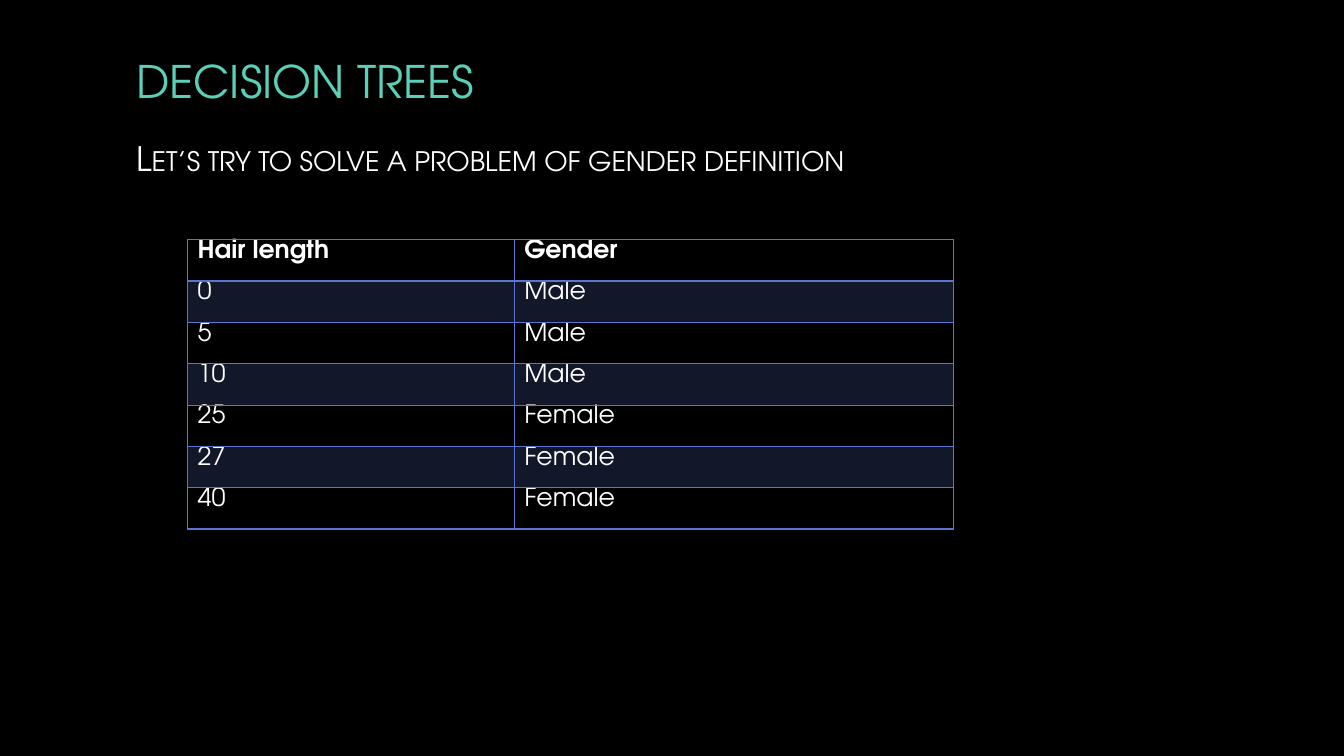
from pptx import Presentation
from pptx.dml.color import RGBColor as Color
from pptx.enum.text import MSO_ANCHOR as Anchor, MSO_AUTO_SIZE as Fit, PP_ALIGN as Align
from pptx.oxml import parse_xml as to_xml
from pptx.oxml.ns import nsdecls as names, qn
from pptx.util import Inches, Pt

FONT = "TeX Gyre Adventor"
BLACK = Color(0x00, 0x00, 0x00)
WHITE = Color(0xFF, 0xFF, 0xFF)
TEAL = Color(0x5A, 0xD0, 0xB8)
BLUE = Color(0x5A, 0x74, 0xD1)

ROWS = [
    ("Hair length", "Gender"),
    ("0", "Male"),
    ("5", "Male"),
    ("10", "Male"),
    ("25", "Female"),
    ("27", "Female"),
    ("40", "Female"),
]
WIDTHS = (3.24, 4.36)
HEIGHT = 0.41


def style(para, size, color, bold=False):
    """Format every run of a paragraph."""
    for run in para.runs:
        font = run.font
        font.name, font.size, font.bold = FONT, Pt(size), bold
        font.color.rgb = color


def fill_holder(holder, text, top, height, size, color, anchor):
    """Place a placeholder and write one line in it."""
    holder.left, holder.top = Inches(1.25), Inches(top)
    holder.width, holder.height = Inches(10.83), Inches(height)
    frame = holder.text_frame
    frame.text = text
    frame.word_wrap = True
    frame.auto_size = Fit.NONE
    frame.vertical_anchor = anchor
    para = frame.paragraphs[0]
    para.alignment = Align.LEFT
    style(para, size, color)
    return para


def plain_caps(para):
    """Drop the bullet and turn the text to small capitals."""
    props = para._p.get_or_add_pPr()
    props.set("marL", "0")
    props.set("indent", "0")
    para.space_after = Pt(6)
    props.append(to_xml(f"<a:buNone {names('a')}/>"))
    for run in para.runs:
        run.font._element.set("cap", "small")


def add_edges(cell, top, bottom):
    """Draw the four borders of a cell, widths in points."""
    props = cell._tc.get_or_add_tcPr()
    for side, width in (("L", 1), ("R", 1), ("T", top), ("B", bottom)):
        props.append(to_xml(
            f'<a:ln{side} {names("a")} w="{Pt(width)}"><a:solidFill>'
            f'<a:srgbClr val="{BLUE}"/></a:solidFill></a:ln{side}>'))


def tint(cell):
    """Fill a cell with blue at 20 percent opacity."""
    cell.fill.solid()
    cell.fill.fore_color.rgb = BLUE
    shade = cell._tc.tcPr.find(qn("a:solidFill")).find(qn("a:srgbClr"))
    shade.append(to_xml(f'<a:alpha {names("a")} val="20000"/>'))


def fill_cell(cell, text, row):
    """Write and format one table cell."""
    cell.text_frame.text = text
    cell.margin_top = cell.margin_bottom = 0
    style(cell.text_frame.paragraphs[0], 18, WHITE, row == 0)
    add_edges(cell, 2 if row == 1 else 1, 2 if row == 0 else 1)
    if row % 2:
        tint(cell)
    else:
        cell.fill.background()


def add_grid(slide):
    """Add the table of hair lengths and genders."""
    table = slide.shapes.add_table(
        len(ROWS), len(WIDTHS), Inches(1.86), Inches(2.38),
        Inches(sum(WIDTHS)), Inches(HEIGHT * len(ROWS))).table
    table.horz_banding = False
    for col, width in zip(table.columns, WIDTHS):
        col.width = Inches(width)
    for i, texts in enumerate(ROWS):
        table.rows[i].height = Inches(HEIGHT)
        for j, text in enumerate(texts):
            fill_cell(table.cell(i, j), text, i)


def main():
    """Build the slide and save it."""
    deck = Presentation()
    deck.slide_width, deck.slide_height = Inches(13.33), Inches(7.5)
    slide = deck.slides.add_slide(deck.slide_layouts[1])
    back = slide.background.fill
    back.solid()
    back.fore_color.rgb = BLACK
    title, body = slide.placeholders
    fill_holder(title, "DECISION TREES", 0.43, 0.74, 32, TEAL, Anchor.MIDDLE)
    lead = fill_holder(body, "Let’s try to solve a problem of gender definition",
                       1.32, 0.6, 24, WHITE, Anchor.TOP)
    plain_caps(lead)
    add_grid(slide)
    deck.save("out.pptx")


if __name__ == "__main__":
    main()
